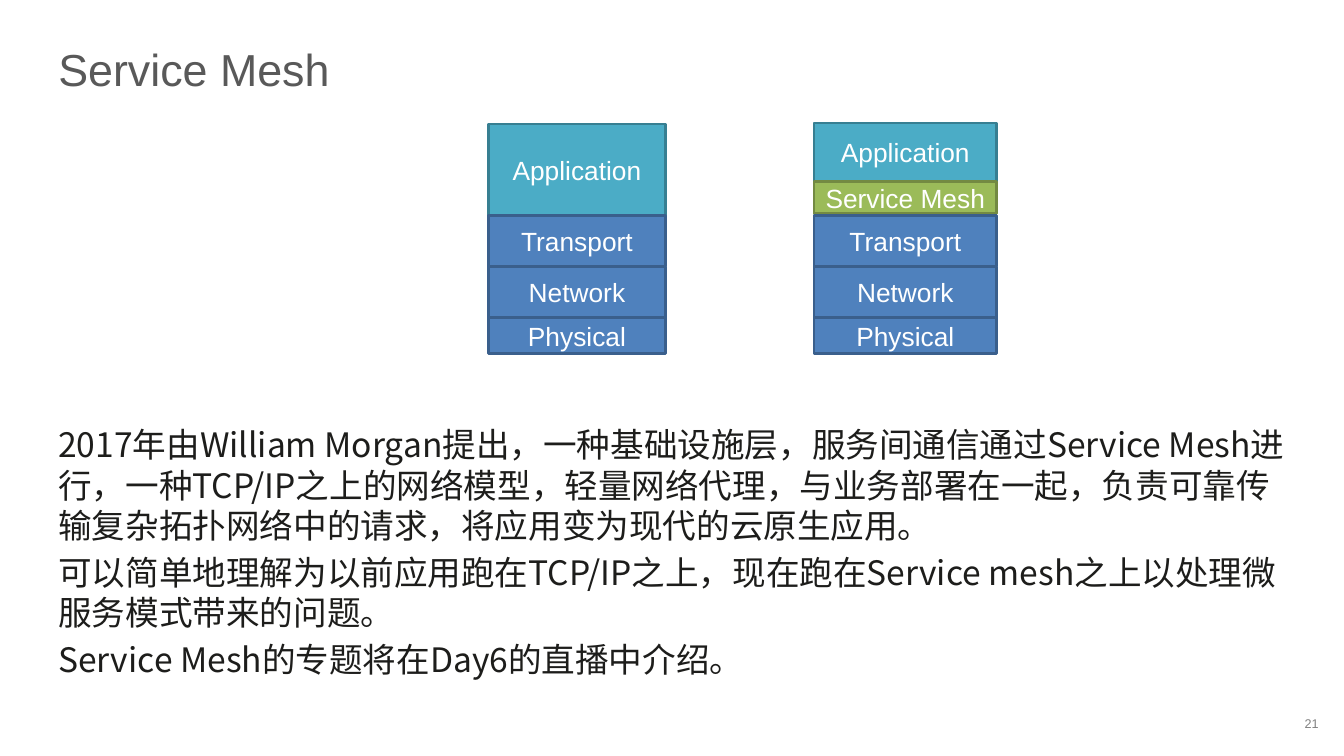
from lxml import etree
from pptx import Presentation
from pptx.dml.color import RGBColor
from pptx.enum.shapes import MSO_SHAPE
from pptx.enum.text import MSO_ANCHOR, PP_ALIGN
from pptx.oxml.ns import qn
from pptx.util import Inches, Pt

RECTANGLE = MSO_SHAPE.RECTANGLE
TOP, MIDDLE = MSO_ANCHOR.TOP, MSO_ANCHOR.MIDDLE
LEFT, CENTER = PP_ALIGN.LEFT, PP_ALIGN.CENTER

COLORS = {
    "title": "595959", "body": "1D1D1B", "number": "808080", "label": "FFFFFF",
    "app": "4BACC6", "app_line": "377F92",
    "mesh": "9BBB59", "mesh_line": "738A42",
    "net": "4F81BD", "net_line": "3A5F8C",
}
LATIN, CHINESE = "Arial", "Noto Sans CJK SC"


def color(name):
    return RGBColor.from_string(COLORS[name])


class SlideBuilder:
    """Places elements on one slide; lengths are percentages of its size."""

    def __init__(self, deck):
        self.width, self.height = deck.slide_width, deck.slide_height
        self.page = deck.slides.add_slide(deck.slide_layouts[6])

    def area(self, left, top, width, height):
        return (int(self.width * left / 100), int(self.height * top / 100),
                int(self.width * width / 100), int(self.height * height / 100))

    def fill_text(self, box, paragraphs, size, ink, font=LATIN, anchor=TOP,
                  align=LEFT, insets=(0, 0), gap=0, spacing=None):
        frame = box.text_frame
        frame.word_wrap = True
        frame.vertical_anchor = anchor
        frame.margin_left = frame.margin_right = Inches(insets[0])
        frame.margin_top = frame.margin_bottom = Inches(insets[1])
        for index, text in enumerate(paragraphs):
            para = frame.add_paragraph() if index else frame.paragraphs[0]
            para.alignment = align
            para.space_before = Pt(gap if index else 0)
            if spacing:
                para.line_spacing = spacing
            span = para.add_run()
            span.text = text
            span.font.size = Pt(size)
            span.font.name = font
            span.font.color.rgb = color(ink)
            # East Asian characters take their typeface from a:ea
            properties = span._r.get_or_add_rPr()
            etree.SubElement(properties, qn("a:ea")).set("typeface", font)

    def text(self, place, paragraphs, **style):
        box = self.page.shapes.add_textbox(*self.area(*place))
        self.fill_text(box, paragraphs, **style)

    def layer(self, place, label, kind):
        box = self.page.shapes.add_shape(RECTANGLE, *self.area(*place))
        box.shadow.inherit = False
        box.fill.solid()
        box.fill.fore_color.rgb = color(kind)
        box.line.color.rgb = color(kind + "_line")
        box.line.width = Pt(2)
        self.fill_text(box, [label], size=18.8, ink="label", anchor=MIDDLE,
                       align=CENTER, insets=(0.06, 0.06))

    def stack(self, left, width, layers):
        for label, kind, top, height in layers:
            self.layer((left, top, width, height), label, kind)


def main():
    deck = Presentation()
    deck.slide_width, deck.slide_height = Inches(13.34), Inches(7.5)
    slide = SlideBuilder(deck)

    # Title and page number
    slide.text((3.37, 4.8, 93.25, 8.53), ["Service Mesh"], size=32,
               ink="title", anchor=MIDDLE, insets=(0.13, 0.07))
    slide.text((97.08, 95, 2.7, 4), ["21"], size=9, ink="number", spacing=0.85)

    # Explanation
    slide.text((3.37, 55.2, 93.25, 36.67), [
        "2017年由William Morgan提出，一种基础设施层，服务间通信通过Service Mesh进行，"
        "一种TCP/IP之上的网络模型，轻量网络代理，与业务部署在一起，"
        "负责可靠传输复杂拓扑网络中的请求，将应用变为现代的云原生应用。",
        "可以简单地理解为以前应用跑在TCP/IP之上，现在跑在Service mesh之上以处理微服务模式带来的问题。",
        "Service Mesh的专题将在Day6的直播中介绍。",
    ], size=24, ink="body", font=CHINESE, insets=(0.13, 0.07), gap=4.8)

    # Network stacks without and with the service mesh layer
    network = [("Transport", "net", 28.53, 6.67),
               ("Network", "net", 35.2, 6.8),
               ("Physical", "net", 42, 4.8)]
    slide.stack(36.36, 13.15, [("Application", "app", 16.4, 12.13)] + network)
    slide.stack(60.57, 13.6, [("Application", "app", 16.27, 7.73),
                              ("Service Mesh", "mesh", 24, 4.27)] + network)

    deck.save("out.pptx")


if __name__ == "__main__":
    main()
